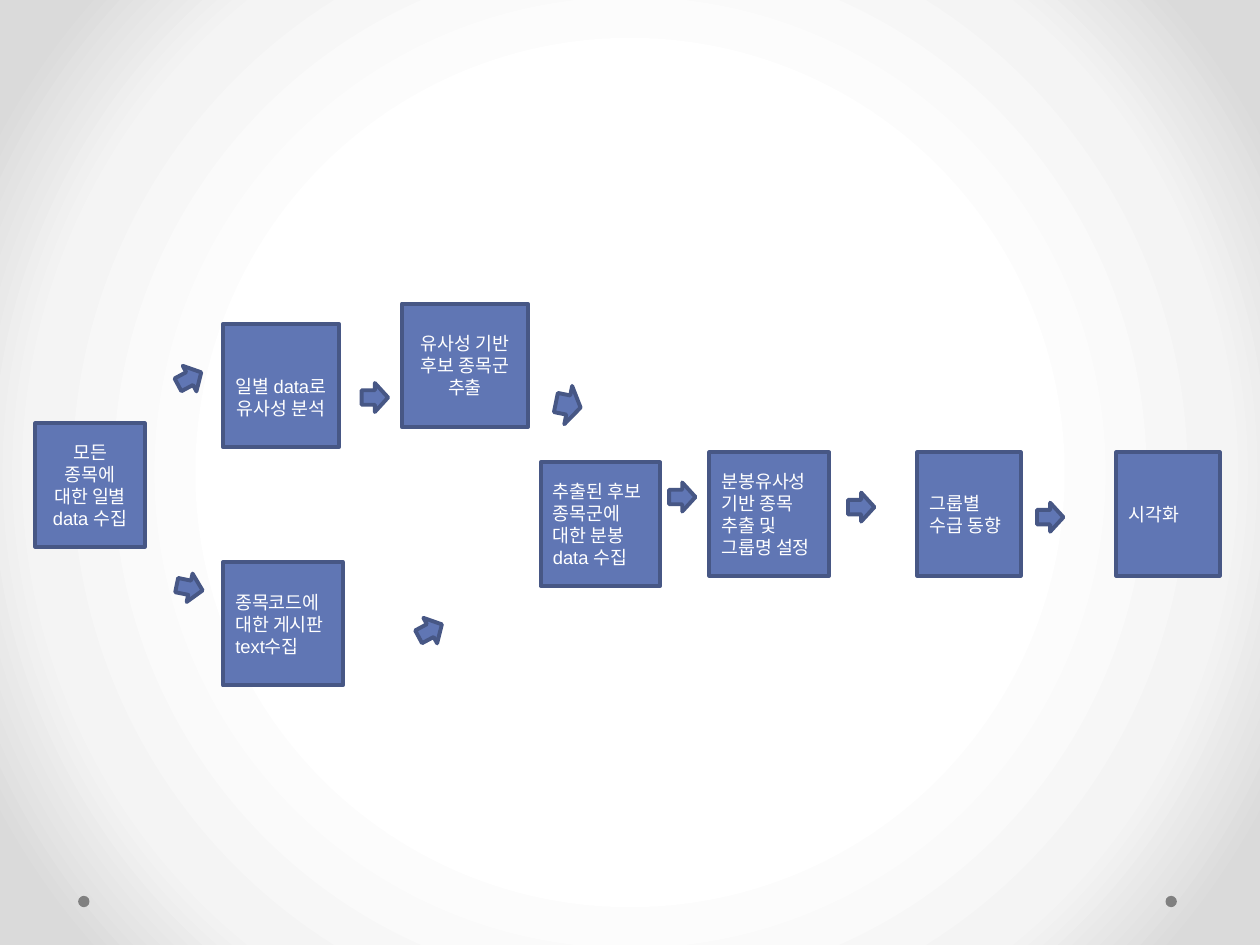
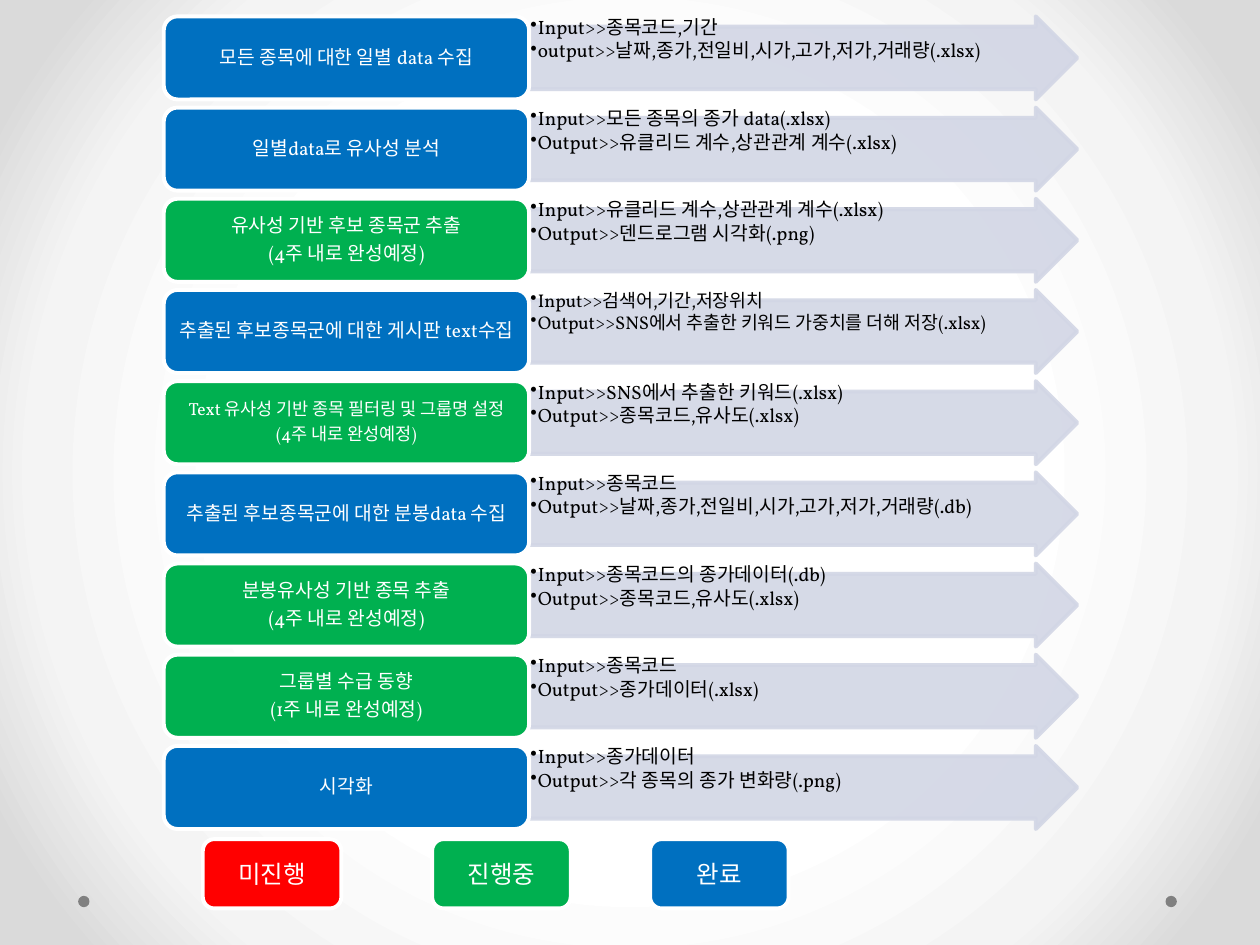
from lxml import etree
from pptx import Presentation
from pptx.dml.color import RGBColor
from pptx.enum.shapes import MSO_SHAPE
from pptx.enum.text import MSO_ANCHOR, PP_ALIGN
from pptx.oxml import parse_xml
from pptx.oxml.ns import nsdecls, qn
from pptx.util import Inches, Pt

PROCESS = MSO_SHAPE.FLOWCHART_PROCESS
ARROW = MSO_SHAPE.RIGHT_ARROW
ROUNDED = MSO_SHAPE.ROUNDED_RECTANGLE
OVAL = MSO_SHAPE.OVAL
TOP, MIDDLE = MSO_ANCHOR.TOP, MSO_ANCHOR.MIDDLE
LEFT, CENTER = PP_ALIGN.LEFT, PP_ALIGN.CENTER

WHITE, BLACK, DOT_GREY = "FFFFFF", "000000", "808080"
FLOW_FILL, FLOW_LINE = "6076B4", "475785"
DETAIL_FILL = "D2D6E5"
PENDING, ACTIVE, DONE = "FF0000", "00B050", "0070C0"
BACKGROUND_STOPS = [(50, "FFFFFF"), (76, "F4F4F4"), (92, "DADADA")]
SANS, SERIF = "Arial", "Vollkorn"
LINE_WIDTH = 2.25

FLOW_HEIGHT = 0.98
FLOW_BOXES = [
    (0.28, 3.36, 0.87, "모든 종목에 대한 일별 data 수집", SANS, CENTER, 0.05),
    (1.77, 2.57, 0.92, "일별 data로 유사성 분석", SANS, CENTER, 0.23),
    (3.19, 2.41, 1, "유사성 기반 후보 종목군 추출", SANS, CENTER, 0.05),
    (1.77, 4.46, 0.95, "종목코드에 대한 게시판 text수집", SANS, LEFT, 0.05),
    (4.29, 3.67, 0.95, "추출된 후보 종목군에 대한 분봉data 수집", SANS, LEFT, 0.05),
    (5.63, 3.59, 0.95, "분봉유사성 기반 종목 추출 및 그룹명 설정", SERIF, LEFT, 0.05),
    (7.28, 3.59, 0.82, "그룹별 수급 동향", SERIF, LEFT, 0.05),
    (8.86, 3.59, 0.82, "시각화", SERIF, LEFT, 0.05),
]
UPWARD, DOWNWARD = 331.8, 11.6
FLOW_ARROWS = [
    (1.4, 2.89, 0.21, 0.23, UPWARD),
    (1.4, 4.55, 0.21, 0.23, DOWNWARD),
    (2.87, 3.04, 0.21, 0.23, 0),
    (3.31, 4.89, 0.21, 0.23, UPWARD),
    (4.41, 3.06, 0.2, 0.31, DOWNWARD),
    (5.31, 3.83, 0.21, 0.23, 0),
    (6.73, 3.91, 0.21, 0.23, 0),
    (8.23, 3.99, 0.21, 0.23, 0),
]

FOUR_WEEKS = "(4주 내로 완성예정)"
ONE_WEEK = "(1주 내로 완성예정)"
STEPS = [
    (DONE, 11, ["모든 종목에 대한 일별 data 수집"], 11,
     ["Input>>종목코드,기간", "output>>날짜,종가,전일비,시가,고가,저가,거래량(.xlsx)"]),
    (DONE, 11, ["일별data로 유사성 분석"], 11,
     ["Input>>모든 종목의 종가 data(.xlsx)", "Output>>유클리드 계수,상관관계 계수(.xlsx)"]),
    (ACTIVE, 11, ["유사성 기반 후보 종목군 추출", FOUR_WEEKS], 11,
     ["Input>>유클리드 계수,상관관계 계수(.xlsx)", "Output>>덴드로그램 시각화(.png)"]),
    (DONE, 11, ["추출된 후보종목군에 대한 게시판 text수집"], 10.5,
     ["Input>>검색어,기간,저장위치", "Output>>SNS에서 추출한 키워드 가중치를 더해 저장(.xlsx)"]),
    (ACTIVE, 10, ["Text 유사성 기반 종목 필터링 및 그룹명 설정", FOUR_WEEKS], 11,
     ["Input>>SNS에서 추출한 키워드(.xlsx)", "Output>>종목코드,유사도(.xlsx)"]),
    (DONE, 11, ["추출된 후보종목군에 대한 분봉data 수집"], 11,
     ["Input>>종목코드", "Output>>날짜,종가,전일비,시가,고가,저가,거래량(.db)"]),
    (ACTIVE, 11, ["분봉유사성 기반 종목 추출", FOUR_WEEKS], 11,
     ["Input>>종목코드의 종가데이터(.db)", "Output>>종목코드,유사도(.xlsx)"]),
    (ACTIVE, 11, ["그룹별 수급 동향", ONE_WEEK], 11,
     ["Input>>종목코드", "Output>>종가데이터(.xlsx)"]),
    (DONE, 11, ["시각화"], 11,
     ["Input>>종가데이터", "Output>>각 종목의 종가 변화량(.png)"]),
]
STEP_TOP, LAST_STEP_TOP, STEP_HEIGHT = 0.13, 5.92, 0.66
STEP_LEFT, STEP_WIDTH = 1.3, 2.9
DETAIL_LEFT, DETAIL_WIDTH = STEP_LEFT + STEP_WIDTH, 4.35
LEGEND = [(1.61, "미진행", PENDING), (3.43, "진행중", ACTIVE), (5.16, "완료", DONE)]


def color(value):
    return RGBColor.from_string(value)


def add_filled(page, kind, left, top, width, height, fill, line=None):
    shape = page.shapes.add_shape(
        kind, Inches(left), Inches(top), Inches(width), Inches(height))
    shape.shadow.inherit = False
    shape.fill.solid()
    shape.fill.fore_color.rgb = color(fill)
    if line:
        shape.line.color.rgb = color(line)
        shape.line.width = Pt(LINE_WIDTH)
    else:
        shape.line.fill.background()
    return shape


def write_text(shape, lines, size, font, ink, align=CENTER, anchor=MIDDLE,
               margins=(0.1, 0.05, 0.1, 0.05), spacing=1, after=0):
    frame = shape.text_frame
    frame.word_wrap = True
    frame.vertical_anchor = anchor
    (frame.margin_left, frame.margin_top,
     frame.margin_right, frame.margin_bottom) = map(Inches, margins)
    frame.text = "\n".join(lines)
    for para in frame.paragraphs:
        para.alignment = align
        para.line_spacing = spacing
        para.space_after = Pt(after)
        para.font.size = Pt(size)
        para.font.name = font
        para.font.color.rgb = color(ink)


def add_bullets(shape):
    for para in shape.text_frame.paragraphs:
        properties = para._p.get_or_add_pPr()
        properties.set("marL", str(Inches(0.06)))
        properties.set("indent", str(Inches(-0.06)))
        bullet = parse_xml(f'<a:buChar {nsdecls("a")} char="•"/>')
        properties.find(qn("a:defRPr")).addprevious(bullet)


def set_opacity(shape, percent):
    for tint in shape._element.spPr.iter(qn("a:srgbClr")):
        etree.SubElement(tint, qn("a:alpha")).set("val", str(percent * 1000))


def set_background(master):
    master.background.fill.gradient()
    gradient = next(master.element.iter(qn("a:gradFill")))
    stops = "".join(
        f'<a:gs pos="{position * 1000}"><a:srgbClr val="{tint}"/></a:gs>'
        for position, tint in BACKGROUND_STOPS)
    radial = parse_xml(
        f'<a:gradFill {nsdecls("a")} rotWithShape="1"><a:gsLst>{stops}</a:gsLst>'
        '<a:path path="circle"><a:fillToRect l="50000" t="50000" r="50000" b="50000"/>'
        '</a:path></a:gradFill>')
    gradient.getparent().replace(gradient, radial)


def add_page(deck):
    page = deck.slides.add_slide(deck.slide_layouts[6])
    for left in (0.62, 9.25):
        add_filled(page, OVAL, left, 7.11, 0.09, 0.09, DOT_GREY)
    return page


def add_flow_box(page, left, top, width, label, font, align, top_margin):
    box = add_filled(page, PROCESS, left, top, width, FLOW_HEIGHT, FLOW_FILL, FLOW_LINE)
    write_text(box, [label], 10.5, font, WHITE, align, margins=(0.1, top_margin, 0.1, 0.05))


def add_flow_arrow(page, left, top, width, height, rotation):
    arrow = add_filled(page, ARROW, left, top, width, height, FLOW_FILL, FLOW_LINE)
    arrow.rotation = rotation


def add_detail(page, top, lines, size):
    place = DETAIL_LEFT, top, DETAIL_WIDTH, STEP_HEIGHT
    arrow = add_filled(page, ARROW, *place, DETAIL_FILL, DETAIL_FILL)
    arrow.adjustments[0] = 0.75
    arrow.adjustments[1] = 0.5
    set_opacity(arrow, 90)
    box = page.shapes.add_textbox(*map(Inches, place))
    write_text(box, lines, size, SERIF, BLACK, LEFT, TOP, (0.01,) * 4, 0.9, 0.15 * size)
    add_bullets(box)


def add_step(page, top, fill, lines, size):
    box = add_filled(page, ROUNDED, STEP_LEFT, top, STEP_WIDTH, STEP_HEIGHT, fill, WHITE)
    write_text(box, lines, size, SERIF, WHITE, margins=(0.02, 0, 0.02, 0),
               spacing=0.9, after=0.35 * size)


def add_legend_key(page, left, label, fill):
    key = add_filled(page, ROUNDED, left, 6.66, 1.1, 0.55, fill, WHITE)
    write_text(key, [label], 14, SERIF, WHITE)


def build_flow(deck):
    page = add_page(deck)
    for box in FLOW_BOXES:
        add_flow_box(page, *box)
    for arrow in FLOW_ARROWS:
        add_flow_arrow(page, *arrow)


def build_progress(deck):
    page = add_page(deck)
    pitch = (LAST_STEP_TOP - STEP_TOP) / (len(STEPS) - 1)
    for row, (status, step_size, step, detail_size, detail) in enumerate(STEPS):
        top = STEP_TOP + row * pitch
        add_detail(page, top, detail, detail_size)
        add_step(page, top, status, step, step_size)
    for key in LEGEND:
        add_legend_key(page, *key)


def main():
    deck = Presentation()
    deck.slide_width = Inches(10)
    deck.slide_height = Inches(7.5)
    set_background(deck.slide_master)
    build_flow(deck)
    build_progress(deck)
    deck.save("out.pptx")


if __name__ == "__main__":
    main()
